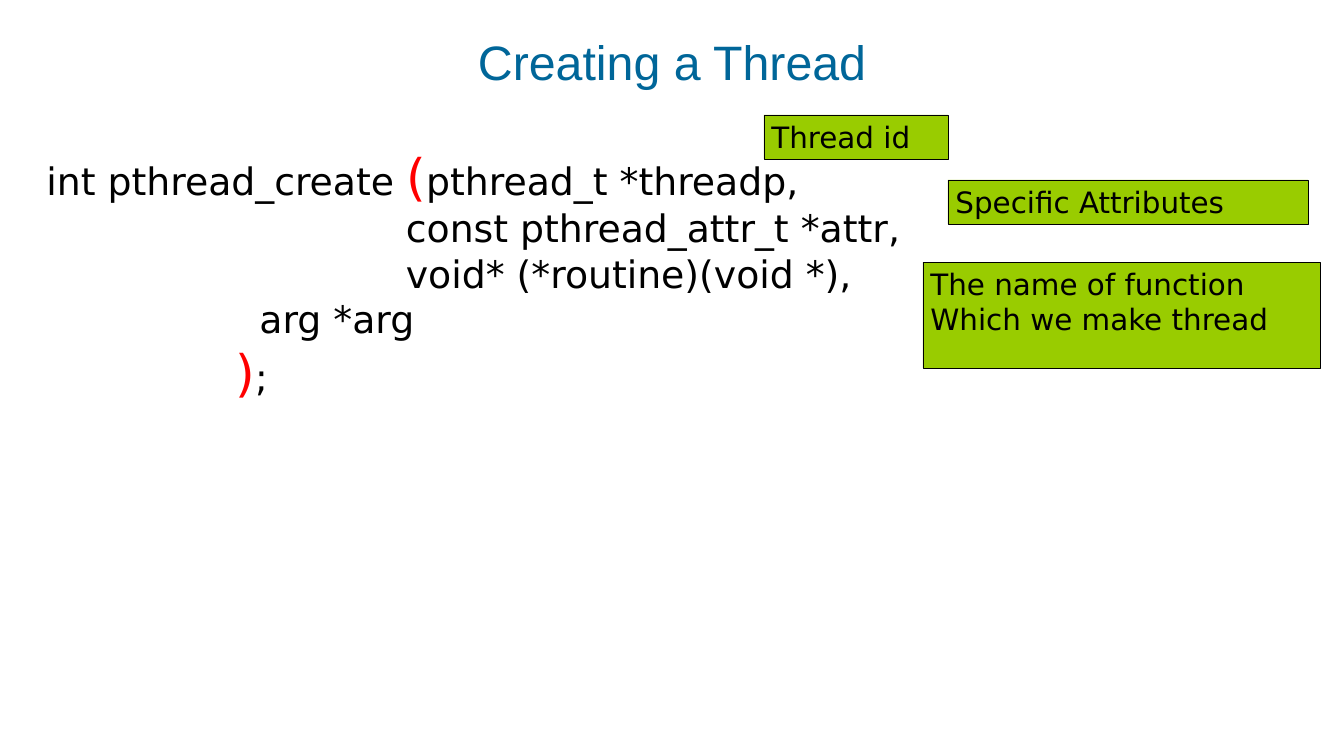
import pptx
import pptx.dml.color
import pptx.enum.shapes
import pptx.enum.text
import pptx.util

PX = 914400 / 75.6  # EMU in one px

TEAL = pptx.dml.color.RGBColor(0x00, 0x66, 0x99)
GREEN = pptx.dml.color.RGBColor(0x99, 0xCC, 0x00)
RED = pptx.dml.color.RGBColor(0xFF, 0x00, 0x00)
BLACK = pptx.dml.color.RGBColor(0x00, 0x00, 0x00)

TITLE_FONT = "Arial"
BODY_FONT = "DejaVu Sans"
CODE_SIZE = 36
BRACKET = {"size": 48, "color": RED}

# Each code line is a list of (text, format) runs
CODE_LINES = [
    [("int pthread_create ", {}), ("(", BRACKET), ("pthread_t *threadp,", {})],
    [(" " * 30 + "const pthread_attr_t *attr,", {})],
    [(" " * 30 + "void* (*routine)(void *),", {})],
    [("\t" * 5 + "  arg *arg", {})],
    [("\t" * 5, {}), (")", BRACKET), (";", {})],
]

# Left, top, width, height in px, then the lines of text
LABELS = [
    (764, 115, 184, 44, ["Thread id"]),
    (948, 180, 360, 44, ["Specific Attributes"]),
    (923, 262, 397, 106, ["The name of function", "Which we make thread"]),
]


def px(*lengths):
    return [pptx.util.Emu(round(length * PX)) for length in lengths]


def write_text(paragraph, text, size=CODE_SIZE, font=BODY_FONT, color=BLACK):
    run = paragraph.add_run()
    run.text = text
    run.font.size = pptx.util.Pt(size)
    run.font.name = font
    run.font.color.rgb = color


def write_lines(text_frame, lines, align=pptx.enum.text.PP_ALIGN.LEFT, **text_format):
    text_frame.word_wrap = True
    for index, runs in enumerate(lines):
        paragraph = text_frame.add_paragraph() if index else text_frame.paragraphs[0]
        paragraph.alignment = align
        for text, run_format in runs:
            write_text(paragraph, text, **{**text_format, **run_format})


def add_text_box(slide, left, top, width, height, lines,
                 anchor=pptx.enum.text.MSO_ANCHOR.TOP, **text_format):
    shape = slide.shapes.add_textbox(*px(left, top, width, height))
    shape.text_frame.vertical_anchor = anchor
    write_lines(shape.text_frame, lines, **text_format)
    return shape


def add_label(slide, left, top, width, height, lines):
    shape = slide.shapes.add_shape(
        pptx.enum.shapes.MSO_SHAPE.RECTANGLE, *px(left, top, width, height))
    shape.shadow.inherit = False
    shape.fill.solid()
    shape.fill.fore_color.rgb = GREEN
    shape.line.color.rgb = BLACK
    shape.line.width = pptx.util.Pt(0.75)
    shape.text_frame.vertical_anchor = pptx.enum.text.MSO_ANCHOR.TOP
    write_lines(shape.text_frame, [[(line, {})] for line in lines], size=28)


def main():
    presentation = pptx.Presentation()
    presentation.slide_width, presentation.slide_height = px(1344, 756)
    slide = presentation.slides.add_slide(presentation.slide_layouts[6])

    # Title
    add_text_box(slide, 67, 30, 1210, 64, [[("Creating a Thread", {})]],
                 anchor=pptx.enum.text.MSO_ANCHOR.BOTTOM,
                 align=pptx.enum.text.PP_ALIGN.CENTER,
                 size=46, font=TITLE_FONT, color=TEAL)

    # Function signature
    code = add_text_box(slide, 39, 141, 1305, 267, CODE_LINES)
    code.text_frame.auto_size = pptx.enum.text.MSO_AUTO_SIZE.SHAPE_TO_FIT_TEXT

    # Notes on the arguments
    for label in LABELS:
        add_label(slide, *label)

    presentation.save("out.pptx")


if __name__ == "__main__":
    main()
